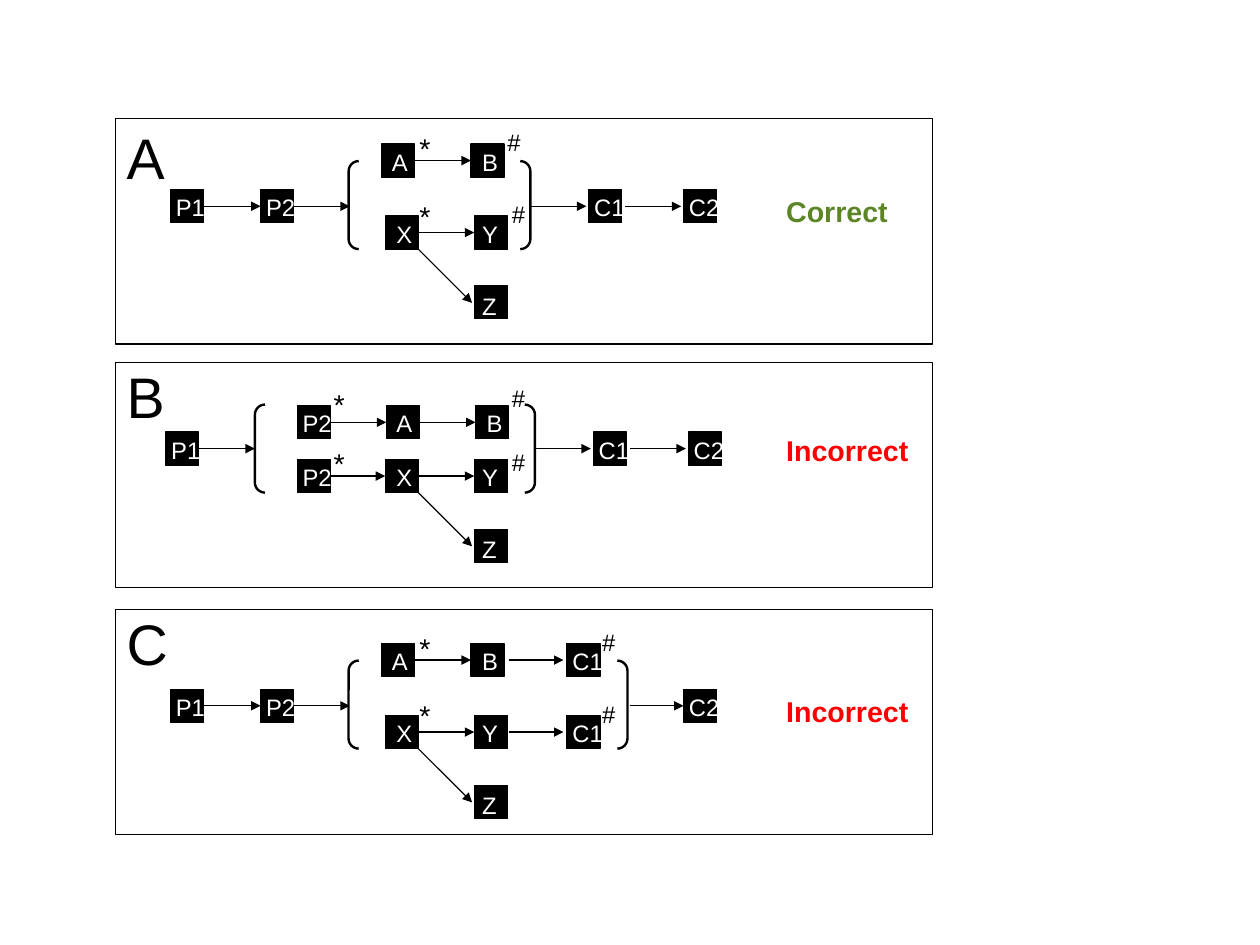
from lxml.etree import SubElement
from pptx import Presentation
from pptx.dml.color import RGBColor
from pptx.enum.shapes import MSO_CONNECTOR, MSO_SHAPE
from pptx.enum.text import MSO_AUTO_SIZE as AutoSize
from pptx.oxml.ns import qn
from pptx.util import Inches, Pt

BLACK = RGBColor(0x00, 0x00, 0x00)
WHITE = RGBColor(0xFF, 0xFF, 0xFF)
GREEN = RGBColor(0x5C, 0x85, 0x26)
RED = RGBColor(0xFF, 0x00, 0x00)

CM_PER_INCH = 2.54
NODE = 0.29
RIGHT_SIDE, LEFT_SIDE = 3, 1

# Label offset from its node and label width, by first letter
LABELS = {
    "A": (-0.01, -0.02, 0.34),
    "B": (0, -0.02, 0.34),
    "X": (0, -0.02, 0.34),
    "Y": (-0.03, -0.02, 0.34),
    "Z": (-0.03, 0, 0.33),
    "P": (-0.05, -0.02, 0.46),
    "C": (-0.05, -0.02, 0.47),
}

# Each row: top, {node: left}, [(start, end)]; an end is a node or an x position
PANELS = [
    {
        "letter": ("A", 1.02, 0.55),
        "frame_top": 1.04,
        "bracket": (3.05, 1.41, 1.59),
        "rows": [
            (1.66, {"P1": 1.49, "P2": 2.28, "C1": 5.15, "C2": 5.98},
             [("P1", "P2"), ("P2", 3.06), (4.64, 5.13), (5.47, 5.96)]),
            (1.26, {"A": 3.34, "B": 4.12}, [("A", "B")]),
            (1.89, {"X": 3.37, "Y": 4.15}, [("X", "Y")]),
        ],
        "branch": (3.37, 1.89),
        "stars": [(3.57, 1.10), (3.57, 1.69)],
        "hashes": [(4.34, 1.07), (4.38, 1.70)],
        "verdict": ("Correct", 1.65, 1.16, GREEN),
    },
    {
        "letter": ("B", 3.11, 0.53),
        "frame_top": 3.17,
        "bracket": (2.23, 3.54, 2.45),
        "rows": [
            (3.78, {"P1": 1.45, "C1": 5.19, "C2": 6.02},
             [("P1", 2.23), (4.68, 5.17), (5.51, 6.00)]),
            (3.55, {"P2": 2.60, "A": 3.38, "B": 4.16}, [("P2", "A"), ("A", "B")]),
            (4.02, {"P2": 2.60, "X": 3.37, "Y": 4.15}, [("P2", "X"), ("X", "Y")]),
        ],
        "branch": (3.37, 4.02),
        "stars": [(2.82, 3.34), (2.82, 3.85)],
        "hashes": [(4.38, 3.31), (4.38, 3.87)],
        "verdict": ("Incorrect", 3.74, 1.39, RED),
    },
    {
        "letter": ("C", 5.27, 0.56),
        "frame_top": 5.33,
        "bracket": (3.05, 5.78, 2.44),
        "rows": [
            (6.03, {"P1": 1.49, "P2": 2.28, "C2": 5.98},
             [("P1", "P2"), ("P2", 3.06), (5.51, "C2")]),
            (5.63, {"A": 3.34, "B": 4.12, "C1": 4.96}, [("A", "B"), (4.45, 4.93)]),
            (6.26, {"X": 3.37, "Y": 4.15, "C1": 4.96}, [("X", "Y"), (4.45, 4.93)]),
        ],
        "branch": (3.37, 6.26),
        "stars": [(3.57, 5.47), (3.57, 6.06)],
        "hashes": [(5.17, 5.44), (5.17, 6.07)],
        "verdict": ("Incorrect", 6.02, 1.39, RED),
    },
]


class Diagram:
    """Holds the slide and the style of the pathway diagram."""

    font_name = "Arial"
    label_size = 15

    def __init__(self, slide):
        self.shapes = slide.shapes

    def outline(self, preset, left, top, width, height, line_width, fill=None):
        shape = self.shapes.add_shape(
            preset, Inches(left), Inches(top), Inches(width), Inches(height))
        shape.shadow.inherit = False
        if fill is None:
            shape.fill.background()
        else:
            shape.fill.solid()
            shape.fill.fore_color.rgb = fill
        shape.line.color.rgb = BLACK
        shape.line.width = Pt(line_width)
        return shape

    def text(self, words, left, top, width, height, size, color=BLACK, bold=False):
        box = self.shapes.add_textbox(
            Inches(left), Inches(top), Inches(width), Inches(height))
        frame = box.text_frame
        frame.word_wrap = False
        frame.auto_size = AutoSize.SHAPE_TO_FIT_TEXT
        paragraph = frame.paragraphs[0]
        paragraph.text = words
        font = paragraph.font
        font.name, font.size, font.bold = self.font_name, Pt(size), bold
        font.color.rgb = color

    def node(self, label, left, top):
        square = self.outline(MSO_SHAPE.RECTANGLE, left, top, NODE, NODE, 0.75, BLACK)
        dx, dy, width = LABELS[label[0]]
        self.text(label, left + dx, top + dy, width, 0.38, self.label_size, WHITE)
        return square

    def arrow(self, x1, y1, x2, y2):
        connector = self.shapes.add_connector(
            MSO_CONNECTOR.STRAIGHT, Inches(x1), Inches(y1), Inches(x2), Inches(y2))
        connector.line.color.rgb = BLACK
        connector.line.width = Pt(0.75)
        properties = connector._element.spPr
        SubElement(properties.get_or_add_ln(), qn("a:tailEnd"), type="triangle")
        SubElement(properties, qn("a:effectLst"))
        return connector

    def row(self, top, lefts, links):
        squares = {label: self.node(label, left, top) for label, left in lefts.items()}
        middle = top + NODE / 2
        for start, end in links:
            x1 = lefts[start] + NODE if start in lefts else start
            x2 = lefts.get(end, end)
            connector = self.arrow(x1, middle, x2, middle)
            if start in squares:
                connector.begin_connect(squares[start], RIGHT_SIDE)
            if end in squares:
                connector.end_connect(squares[end], LEFT_SIDE)

    def branch(self, left, top):
        """Side reaction from the lower right corner of X to Z."""
        self.arrow(left + NODE, top + NODE, left + 0.76, top + 0.76)
        self.node("Z", left + 0.78, top + 0.61)

    def panel(self, content):
        # Frame and letter
        self.outline(MSO_SHAPE.RECTANGLE, 1.01, content["frame_top"], 7.15, 1.97, 0)
        letter, top, width = content["letter"]
        self.text(letter, 1.01, top, width, 0.78, 36)

        # Pathway
        left, top, width = content["bracket"]
        bracket = self.outline(MSO_SHAPE.DOUBLE_BRACKET, left, top, width, 0.77, 1.5)
        bracket.adjustments[0] = 0.115
        for row in content["rows"]:
            self.row(*row)
        self.branch(*content["branch"])

        # Marks and verdict
        for left, top in content["stars"]:
            self.text("*", left, top, 0.32, 0.44, 18)
        for left, top in content["hashes"]:
            self.text("#", left, top, 0.31, 0.38, self.label_size)
        verdict, top, width, color = content["verdict"]
        self.text(verdict, 6.78, top, width, 0.44, 18, color, bold=True)


def main():
    presentation = Presentation()
    # 28 by 21 cm page
    presentation.slide_width = Inches(28 / CM_PER_INCH)
    presentation.slide_height = Inches(21 / CM_PER_INCH)
    blank_layout = presentation.slide_layouts[6]
    diagram = Diagram(presentation.slides.add_slide(blank_layout))
    for content in PANELS:
        diagram.panel(content)
    presentation.save("out.pptx")


if __name__ == "__main__":
    main()
